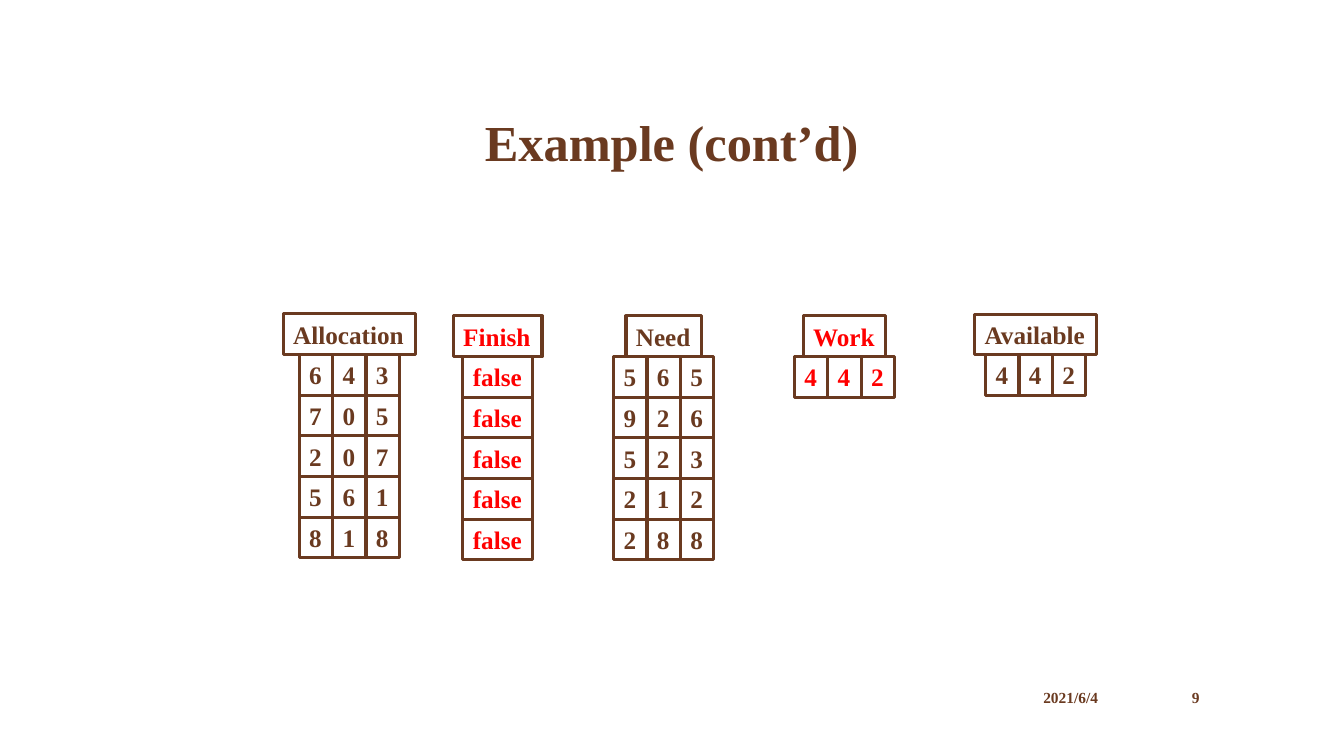
"""Build the banker's algorithm example slide with its five state grids."""
from dataclasses import dataclass

from pptx import Presentation
from pptx.dml.color import RGBColor
from pptx.enum.shapes import MSO_SHAPE
from pptx.enum.text import MSO_ANCHOR, MSO_AUTO_SIZE, PP_ALIGN
from pptx.slide import Slide
from pptx.text.text import TextFrame
from pptx.util import Pt

BROWN = RGBColor(0x6A, 0x3A, 0x20)
RED = RGBColor(0xFF, 0x00, 0x00)
WHITE = RGBColor(0xFF, 0xFF, 0xFF)
RECT = MSO_SHAPE.RECTANGLE
LEFT, CENTER, RIGHT = PP_ALIGN.LEFT, PP_ALIGN.CENTER, PP_ALIGN.RIGHT
TOP, MIDDLE, BOTTOM = MSO_ANCHOR.TOP, MSO_ANCHOR.MIDDLE, MSO_ANCHOR.BOTTOM
FIT_SHAPE, NO_FIT = MSO_AUTO_SIZE.SHAPE_TO_FIT_TEXT, MSO_AUTO_SIZE.NONE
FONT = "Times New Roman"
TITLE_ONLY = 5
CELL_H = 29.05
DIGIT_W = 23.85


@dataclass(frozen=True)
class Grid:
    """A header box centred over rows of equal cells."""
    header: str
    center: float
    top: float
    header_w: float
    rows: list[str]
    cell_w: float = DIGIT_W
    color: RGBColor = BROWN


@dataclass(frozen=True)
class FooterItem:
    """A right-aligned text at the foot of the slide."""
    text: str
    left: float
    width: float


GRIDS = [
    Grid("Allocation", 249.5, 224.2, 94.3, ["6 4 3", "7 0 5", "2 0 7", "5 6 1", "8 1 8"]),
    Grid("Need", 474.1, 225.6, 54, ["5 6 5", "9 2 6", "5 2 3", "2 1 2", "2 8 8"]),
    Grid("Work", 603.2, 225.6, 59, ["4 4 2"], color=RED),
    Grid("Available", 739.8, 224.4, 87.1, ["4 4 2"]),
    Grid("Finish", 355.5, 225.6, 63.4, ["false"] * 5, cell_w=49.7, color=RED),
]
FOOTER = [FooterItem("2021/6/4", 695.5, 96), FooterItem("9", 808, 56)]


def write(tf: TextFrame, text: str, size: float, color: RGBColor,
          align: PP_ALIGN, anchor: MSO_ANCHOR) -> None:
    """Put one bold formatted line into a text frame."""
    tf.text = text
    tf.vertical_anchor = anchor
    p = tf.paragraphs[0]
    p.alignment = align
    r = p.runs[0]
    r.font.name = FONT
    r.font.size = Pt(size)
    r.font.bold = True
    r.font.color.rgb = color


def add_cell(s: Slide, text: str, left: float, top: float, width: float,
             color: RGBColor) -> None:
    """Draw one outlined box with its text."""
    sp = s.shapes.add_shape(RECT, Pt(left), Pt(top), Pt(width), Pt(CELL_H))
    sp.shadow.inherit = False
    sp.fill.solid()
    sp.fill.fore_color.rgb = WHITE
    sp.line.color.rgb = BROWN
    sp.line.width = Pt(2.25)
    write(sp.text_frame, text, 18, color, LEFT, TOP)
    sp.text_frame.word_wrap = False
    sp.text_frame.auto_size = FIT_SHAPE


def add_grid(s: Slide, grid: Grid) -> None:
    """Draw the cells of a grid, then its header."""
    for i, row in enumerate(grid.rows, start=1):
        values = row.split()
        left = grid.center - len(values) * grid.cell_w / 2
        for j, value in enumerate(values):
            add_cell(s, value, left + j * grid.cell_w, grid.top + i * CELL_H,
                     grid.cell_w, grid.color)
    add_cell(s, grid.header, grid.center - grid.header_w / 2, grid.top,
             grid.header_w, grid.color)


def add_title(s: Slide, text: str) -> None:
    """Place and format the title placeholder."""
    sp = s.shapes.title
    sp.left, sp.top, sp.width, sp.height = Pt(96), Pt(34), Pt(767.5), Pt(92)
    write(sp.text_frame, text, 36, BROWN, CENTER, BOTTOM)
    sp.text_frame.auto_size = NO_FIT


def add_footer(s: Slide, item: FooterItem) -> None:
    """Draw one footer text."""
    sp = s.shapes.add_textbox(Pt(item.left), Pt(486), Pt(item.width), Pt(24))
    write(sp.text_frame, item.text, 11, BROWN, RIGHT, MIDDLE)
    sp.text_frame.word_wrap = True


def main() -> None:
    """Build and save the slide."""
    prs = Presentation()
    prs.slide_width, prs.slide_height = Pt(960), Pt(540)
    s = prs.slides.add_slide(prs.slide_layouts[TITLE_ONLY])
    add_title(s, "Example (cont’d)")
    for item in FOOTER:
        add_footer(s, item)
    for grid in GRIDS:
        add_grid(s, grid)
    prs.save("out.pptx")


if __name__ == "__main__":
    main()
